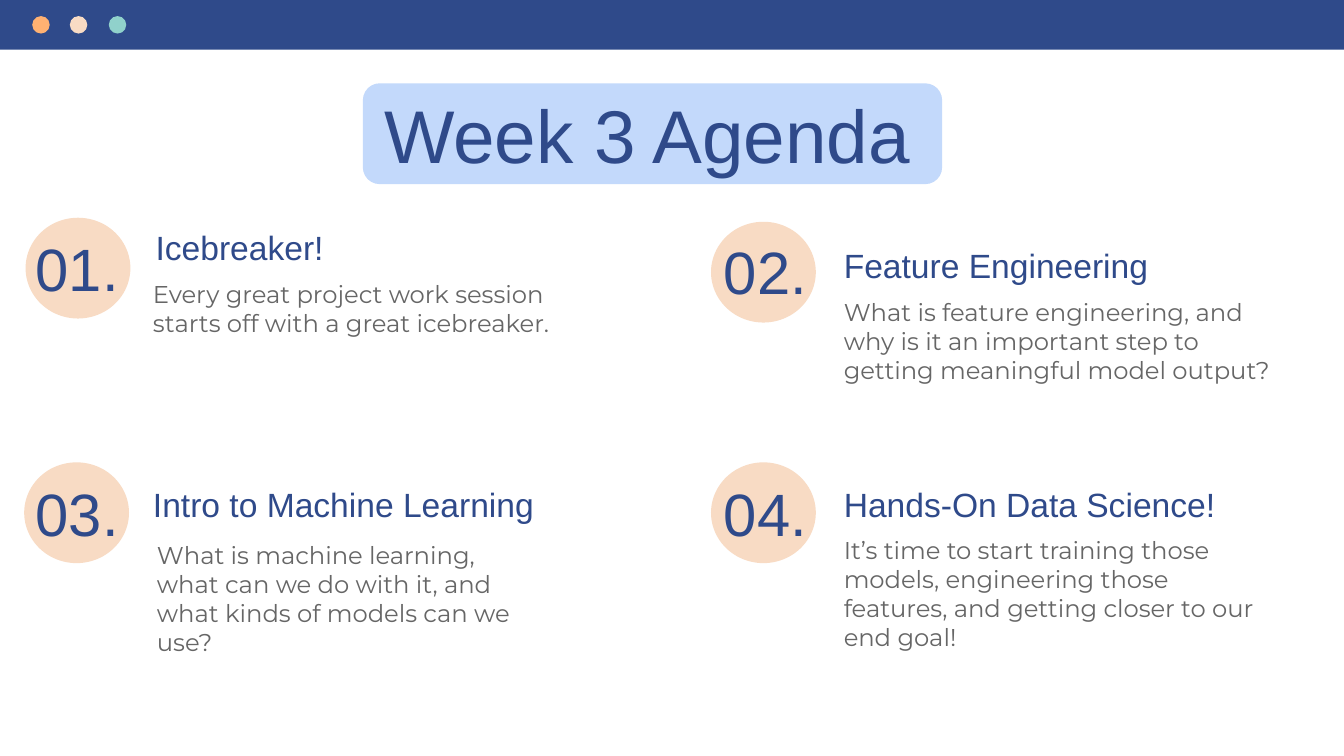
import pptx
import pptx.dml.color
import pptx.enum.shapes
import pptx.enum.text
import pptx.util

Inches = pptx.util.Inches
SHAPE = pptx.enum.shapes.MSO_SHAPE
ANCHOR = pptx.enum.text.MSO_ANCHOR
ALIGN = pptx.enum.text.PP_ALIGN

COLORS = {
    "navy": "2F4A8A",
    "sky": "C3D9FB",
    "peach": "F8DBC4",
    "orange": "FFB172",
    "teal": "90D1CB",
    "gray": "666666",
}


class AgendaSlide:
    heading_font = "Arial"
    body_font = "Montserrat"
    inset = Inches(0.1)

    def __init__(self, slide):
        self.slide = slide

    def color(self, name):
        return pptx.dml.color.RGBColor.from_string(COLORS[name])

    def shape(self, kind, box, fill):
        sp = self.slide.shapes.add_shape(kind, *map(Inches, box))
        sp.shadow.inherit = False
        sp.fill.solid()
        sp.fill.fore_color.rgb = self.color(fill)
        sp.line.fill.background()
        return sp

    def text(self, text, box, size, font=heading_font, color="navy",
             align=ALIGN.LEFT, anchor=ANCHOR.TOP):
        tf = self.slide.shapes.add_textbox(*map(Inches, box)).text_frame
        tf.word_wrap = True
        tf.vertical_anchor = anchor
        tf.margin_left = tf.margin_right = self.inset
        tf.margin_top = tf.margin_bottom = self.inset
        p = tf.paragraphs[0]
        p.text = text
        p.alignment = align
        p.font.name = font
        p.font.size = pptx.util.Pt(size)
        p.font.color.rgb = self.color(color)
        return p

    def number(self, text, circle_at, text_at):
        self.shape(SHAPE.OVAL, (*circle_at, 0.78, 0.75), "peach")
        self.text(text, (*text_at, 0.99, 0.64), 32,
                  align=ALIGN.CENTER, anchor=ANCHOR.BOTTOM)

    def body(self, text, box):
        p = self.text(text, box, 13, self.body_font, "gray")
        p.space_after = pptx.util.Pt(12)

    def top_bar(self):
        self.shape(SHAPE.RECTANGLE, (0, 0, 10, 0.37), "navy")
        for left, fill in ((0.24, "orange"), (0.52, "peach"), (0.81, "teal")):
            self.shape(SHAPE.OVAL, (left, 0.12, 0.13, 0.13), fill)

    def title(self, text):
        self.shape(SHAPE.ROUNDED_RECTANGLE, (2.7, 0.62, 4.31, 0.75), "sky")
        self.text(text, (2.76, 0.56, 4.25, 0.85), 40)


# Circle position, number position, heading and its box, body and its box
ITEMS = [
    ((0.19, 1.62), (0.08, 1.72),
     "Icebreaker!", (1.06, 1.59, 3.43, 0.51),
     "Every great project work session starts off with a great icebreaker.",
     (1.04, 1.98, 3.27, 0.64)),
    ((5.29, 1.65), (5.2, 1.74),
     "Feature Engineering", (6.18, 1.72, 3.59, 0.51),
     "What is feature engineering, and why is it an important step to "
     "getting meaningful model output?",
     (6.18, 2.11, 3.51, 1.03)),
    ((0.18, 3.44), (0.08, 3.54),
     "Intro to Machine Learning", (1.04, 3.5, 3.27, 0.51),
     "What is machine learning, what can we do with it, and what kinds of "
     "models can we use?",
     (1.07, 3.92, 3.04, 1.06)),
    ((5.29, 3.44), (5.2, 3.54),
     "Hands-On Data Science!", (6.18, 3.5, 2.98, 0.51),
     "It’s time to start training those models, engineering those features, "
     "and getting closer to our end goal!",
     (6.18, 3.88, 3.4, 0.85)),
]


def main():
    prs = pptx.Presentation()
    prs.slide_width = Inches(10)
    prs.slide_height = prs.slide_width * 9 // 16
    s = AgendaSlide(prs.slides.add_slide(prs.slide_layouts[6]))
    s.top_bar()
    s.title("Week 3 Agenda")
    for i, item in enumerate(ITEMS, 1):
        circle_at, number_at, heading, heading_box, body, body_box = item
        s.number(f"{i:02d}.", circle_at, number_at)
        s.text(heading, heading_box, 18)
        s.body(body, body_box)
    prs.save("out.pptx")


if __name__ == "__main__":
    main()
